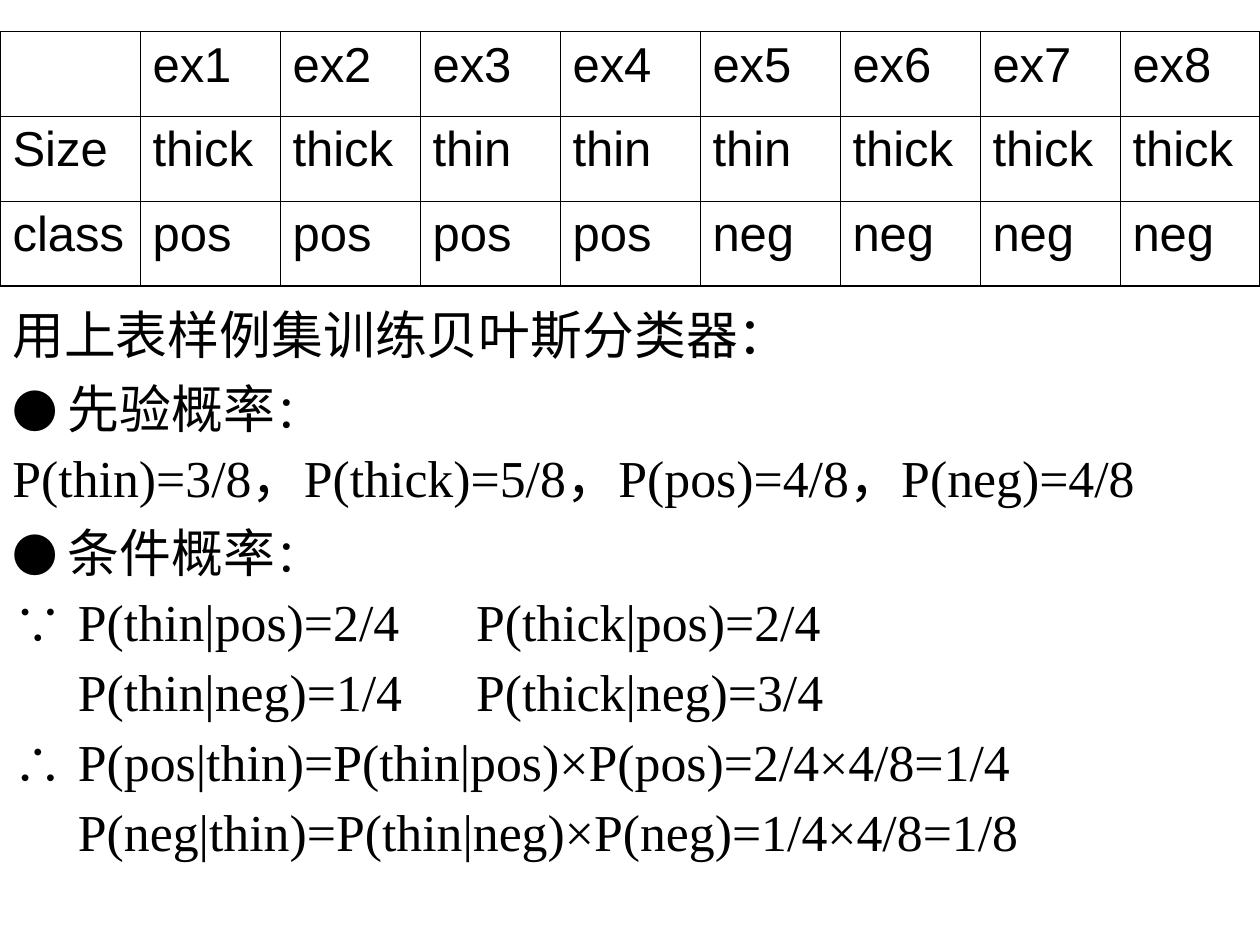
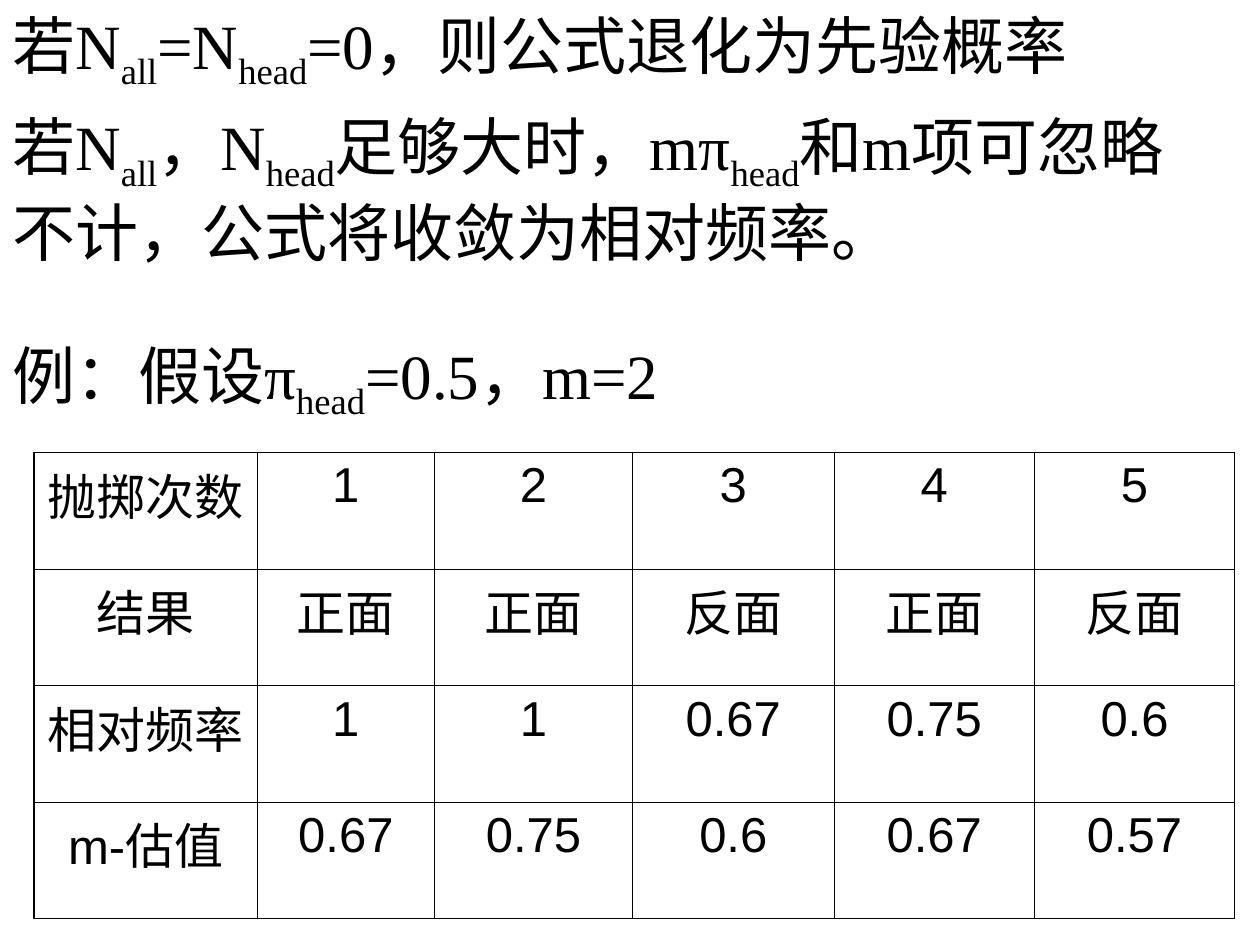
from dataclasses import dataclass

from lxml import etree
from pptx import Presentation
from pptx.dml.color import RGBColor
from pptx.enum.lang import MSO_LANGUAGE_ID as Lang
from pptx.enum.text import MSO_ANCHOR as Anchor, PP_ALIGN as Align
from pptx.oxml.ns import qn
from pptx.util import Inches, Pt


@dataclass(frozen=True)
class Theme:
    ink: str = "000000"
    sans: str = "Arial"
    serif: str = "Times New Roman"
    formula: float = 29.6
    marker: float = 25.9
    large: float = 36
    table: float = 28
    outer: float = 1.08
    inner: float = 0.45


T = Theme()
COLUMNS = (0.52, 3.68)

SAMPLES = [
    ["", *(f"ex{n}" for n in range(1, 9))],
    ["Size", "thick", "thick", "thin", "thin", "thin", "thick", "thick", "thick"],
    ["class", *["pos"] * 4, *["neg"] * 4],
]
TOSSES = [
    ["抛掷次数", "1", "2", "3", "4", "5"],
    ["结果", "正面", "正面", "反面", "正面", "反面"],
    ["相对频率", "1", "1", "0.67", "0.75", "0.6"],
    ["m-估值", "0.67", "0.75", "0.6", "0.67", "0.57"],
]


def add_run(p, text, size=T.formula, font=T.serif, baseline=0):
    r = p.add_run()
    r.text = text
    r.font.size = Pt(size)
    r.font.name = font
    r.font.color.rgb = RGBColor.from_string(T.ink)
    r.font.language_id = Lang.SIMPLIFIED_CHINESE
    if baseline:
        r.font._element.set("baseline", str(baseline * 1000))
    return r


def add_text_box(s, left, top, width, height):
    tf = s.shapes.add_textbox(*map(Inches, (left, top, width, height))).text_frame
    tf.word_wrap = True
    tf.vertical_anchor = Anchor.TOP
    return tf


def add_paragraph(tf, before=0, spacing=1.0):
    first = not tf.paragraphs[0].runs
    p = tf.paragraphs[0] if first else tf.add_paragraph()
    p.space_before = Pt(0 if first else before)
    p.line_spacing = spacing
    return p


def add_heading(tf, label):
    p = add_paragraph(tf, before=7)
    add_run(p, "● ", size=T.marker, font=T.sans)
    add_run(p, label, font=T.sans)
    add_run(p, "：", size=T.marker, font=T.sans)


def add_formula(tf, text):
    p = add_paragraph(tf, before=8, spacing=0.9)
    if "\t" in text:
        tabs = etree.SubElement(p._p.get_or_add_pPr(), qn("a:tabLst"))
        for x in COLUMNS:
            etree.SubElement(tabs, qn("a:tab"), pos=str(Inches(x)), algn="l")
    add_run(p, text)


def add_subscripted(tf, text, before=9):
    p = add_paragraph(tf, before=before)
    for i, part in enumerate(text.split("~")):
        add_run(p, part, size=T.large, baseline=-25 if i % 2 else 0)


def set_borders(cell, **widths):
    tcPr = cell._tc.get_or_add_tcPr()
    for i, side in enumerate("LRTB"):
        ln = etree.Element(qn(f"a:ln{side}"), w=str(Pt(widths[side])))
        fill = etree.SubElement(ln, qn("a:solidFill"))
        etree.SubElement(fill, qn("a:srgbClr"), val=T.ink)
        tcPr.insert(i, ln)


def add_grid(s, rows, left, top, height, col_widths, align=Align.LEFT):
    last_row, last_col = len(rows) - 1, len(col_widths) - 1
    box = map(Inches, (left, top, sum(col_widths), height))
    table = s.shapes.add_table(len(rows), len(col_widths), *box).table
    table.first_row = table.horz_banding = False
    for col, width in zip(table.columns, col_widths):
        col.width = Inches(width)
    for i, row in enumerate(rows):
        for j, text in enumerate(row):
            cell = table.cell(i, j)
            cell.fill.background()
            edges = {"L": j == 0, "R": j == last_col, "T": i == 0, "B": i == last_row}
            set_borders(cell, **{k: T.outer if v else T.inner for k, v in edges.items()})
            if text:
                p = cell.text_frame.paragraphs[0]
                p.alignment = align
                add_run(p, text, size=T.table, font=T.sans)


def add_bayes_slide(prs):
    s = prs.slides.add_slide(prs.slide_layouts[6])
    tf = add_text_box(s, 0, 2.35, 10, 5.15)
    add_run(add_paragraph(tf), "用上表样例集训练贝叶斯分类器：", font=T.sans)
    add_heading(tf, "先验概率")
    add_formula(tf, "P(thin)=3/8，P(thick)=5/8，P(pos)=4/8，P(neg)=4/8")
    add_heading(tf, "条件概率")
    for text in (
        "∵\tP(thin|pos)=2/4\tP(thick|pos)=2/4",
        "\tP(thin|neg)=1/4\tP(thick|neg)=3/4",
        "∴\tP(pos|thin)=P(thin|pos)×P(pos)=2/4×4/8=1/4",
        "\tP(neg|thin)=P(thin|neg)×P(neg)=1/4×4/8=1/8",
    ):
        add_formula(tf, text)
    add_grid(s, SAMPLES, 0, 0.25, 2.02, [10 / 9] * 9)


def add_estimate_slide(prs):
    s = prs.slides.add_slide(prs.slide_layouts[6])
    tf = add_text_box(s, 0, 0, 9.78, 3.57)
    add_subscripted(tf, "若N~all~=N~head~=0，则公式退化为先验概率")
    add_subscripted(tf, "若N~all~，N~head~足够大时，mπ~head~和m项可忽略不计，公式将收敛为相对频率。")
    add_subscripted(tf, "例：假设π~head~=0.5，m=2", before=38)
    widths = [1.77, 1.41, 1.57, 1.6, 1.59, 1.59]
    add_grid(s, TOSSES, 0.27, 3.59, 3.7, widths, align=Align.CENTER)


def main():
    prs = Presentation()
    prs.slide_width, prs.slide_height = Inches(10), Inches(7.5)
    add_bayes_slide(prs)
    add_estimate_slide(prs)
    prs.save("out.pptx")


if __name__ == "__main__":
    main()
